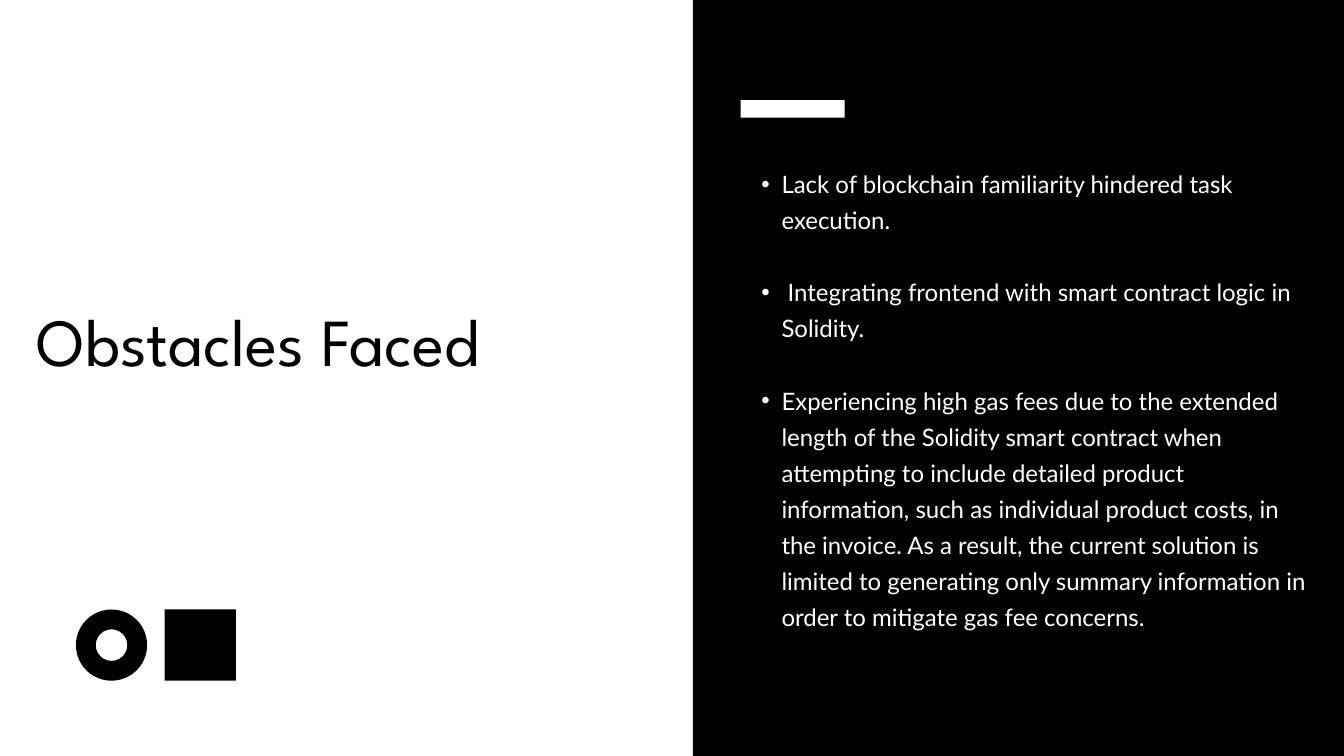
import pptx
import pptx.util
import pptx.dml.color
import pptx.enum.shapes
import pptx.oxml.ns
from lxml import etree

Inches, Pt = pptx.util.Inches, pptx.util.Pt
SHAPES = pptx.enum.shapes.MSO_SHAPE

COLOURS = {"dark": "000000", "light": "FFFFFF"}
TITLE = "Obstacles Faced"
OBSTACLES = [
    "Lack of blockchain familiarity hindered task execution.",
    " Integrating frontend with smart contract logic in Solidity.",
    "Experiencing high gas fees due to the extended length of the Solidity "
    "smart contract when attempting to include detailed product information, "
    "such as individual product costs, in the invoice. As a result, the current "
    "solution is limited to generating only summary information in order to "
    "mitigate gas fee concerns.",
]
SLIDE_WIDTH, SLIDE_HEIGHT = 20, 11.25
PANEL_LEFT = 10.31
CONTENT_LEFT = 11.02
ICON_SIZE, ICON_TOP = 1.06, 9.07
RING_THICKNESS = 0.295
BULLET_LINE = 38.6


def colour(name):
    return pptx.dml.color.RGBColor.from_string(COLOURS[name])


def add_block(page, kind, box, fill):
    block = page.shapes.add_shape(kind, *map(Inches, box))
    block.shadow.inherit = False
    block.fill.solid()
    block.fill.fore_color.rgb = colour(fill)
    block.line.fill.background()
    return block


def add_text(page, box, lines, font, size, fill, leading):
    """Add a text box without margins, one paragraph per line; return its paragraphs."""
    frame = page.shapes.add_textbox(*map(Inches, box)).text_frame
    frame.word_wrap = True
    frame.margin_left = frame.margin_right = frame.margin_top = frame.margin_bottom = 0
    frame.text = "\n".join(lines)
    for para in frame.paragraphs:
        para.line_spacing = Pt(leading)
        for span in para.runs:
            span.font.name = font
            span.font.size = Pt(size)
            span.font.color.rgb = colour(fill)
    return frame.paragraphs


def add_bullet(para, indent, hanging):
    properties = para._p.get_or_add_pPr()
    properties.set("marL", str(Inches(indent)))
    properties.set("indent", str(-Inches(hanging)))
    for tag, attribute, value in (("a:buFont", "typeface", "Arial"), ("a:buChar", "char", "•")):
        etree.SubElement(properties, pptx.oxml.ns.qn(tag)).set(attribute, value)


def main():
    deck = pptx.Presentation()
    deck.slide_width, deck.slide_height = Inches(SLIDE_WIDTH), Inches(SLIDE_HEIGHT)
    page = deck.slides.add_slide(deck.slide_layouts[6])
    page.background.fill.solid()
    page.background.fill.fore_color.rgb = colour("light")

    panel = (PANEL_LEFT, 0, SLIDE_WIDTH - PANEL_LEFT, SLIDE_HEIGHT)
    add_block(page, SHAPES.RECTANGLE, panel, "dark")
    add_text(page, (0.55, 4.36, 9.45, 1.26), [TITLE], "League Spartan", 72, "dark", 93.6)

    add_block(page, SHAPES.RECTANGLE, (CONTENT_LEFT, 1.49, 1.55, 0.26), "light")
    bullets = add_text(page, (CONTENT_LEFT, 2.42, 8.57, 7.34), OBSTACLES,
                       "Lato", 25.7, "light", BULLET_LINE)
    for para in bullets:
        para.space_after = Pt(BULLET_LINE)
        add_bullet(para, 0.61, 0.3)

    add_block(page, SHAPES.RECTANGLE, (2.45, ICON_TOP, ICON_SIZE, ICON_SIZE), "dark")
    ring = add_block(page, SHAPES.DONUT, (1.13, ICON_TOP, ICON_SIZE, ICON_SIZE), "dark")
    ring.adjustments[0] = RING_THICKNESS / ICON_SIZE

    deck.save("out.pptx")


if __name__ == "__main__":
    main()
